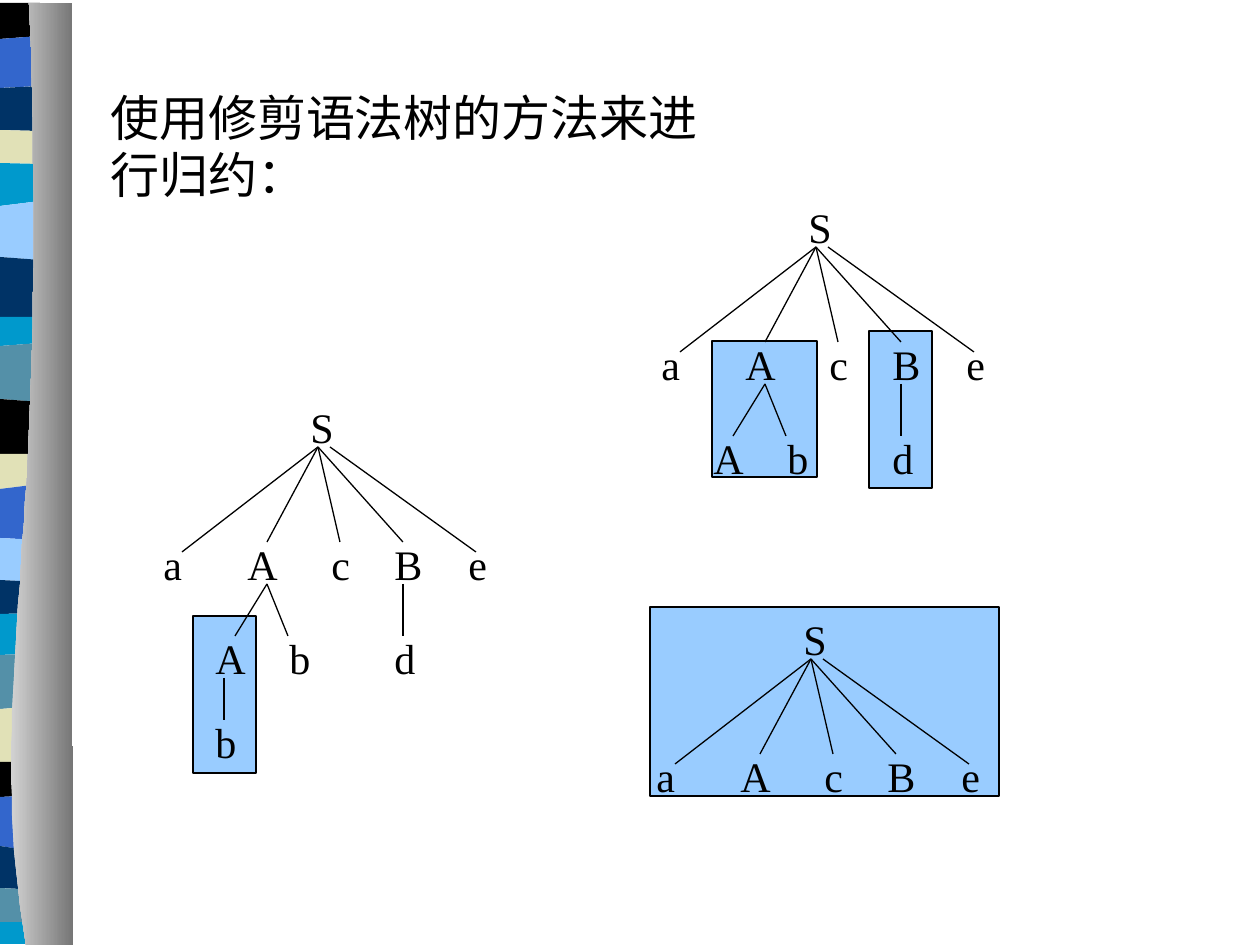
from dataclasses import dataclass

from lxml import etree
from pptx import Presentation, util as u
from pptx.dml.color import RGBColor
from pptx.enum import shapes, text
from pptx.oxml.ns import qn

EMU_PER_PX = 914400 / 126


@dataclass(frozen=True)
class Theme:
    ink: str = "000000"
    highlight: str = "99CCFF"
    black: str = "000000"
    blue: str = "3366CC"
    navy: str = "003366"
    cream: str = "E1E1B7"
    teal: str = "0099CC"
    sky: str = "99CCFF"
    slate: str = "5490A8"
    curl_light: str = "D2D2D2"
    curl_dark: str = "767676"
    title_font: str = "Noto Sans CJK SC"
    node_font: str = "Times New Roman"
    title_pt: int = 28
    title_leading_pt: int = 33
    node_pt: int = 24
    line_pt: float = 0.75


@dataclass(frozen=True)
class Box:
    x: int
    y: int
    w: int
    h: int


@dataclass(frozen=True)
class Band:
    """A ribbon stripe, ending at these heights on its left and right side."""
    color: str
    left: int
    right: int


@dataclass(frozen=True)
class Node:
    label: str
    x: int
    y: int
    w: int = 53


@dataclass(frozen=True)
class Edge:
    x1: int
    y1: int
    x2: int
    y2: int


@dataclass(frozen=True)
class Tree:
    """Nodes and edges are measured from the root label's corner at x, y."""
    x: int
    y: int
    nodes: tuple[Node, ...]
    edges: tuple[Edge, ...]


T = Theme()
NODE_H = 63
RIBBON_TOP, RIBBON_W = 3, 40
BANDS = (
    Band(T.black, 39, 36), Band(T.blue, 88, 86), Band(T.navy, 130, 131),
    Band(T.cream, 163, 164), Band(T.teal, 206, 201), Band(T.sky, 257, 260),
    Band(T.navy, 317, 317), Band(T.teal, 346, 343), Band(T.slate, 399, 402),
    Band(T.black, 454, 454), Band(T.cream, 489, 484), Band(T.blue, 538, 540),
    Band(T.sky, 580, 582), Band(T.navy, 614, 613), Band(T.teal, 655, 653),
    Band(T.slate, 709, 706), Band(T.cream, 762, 762), Band(T.black, 797, 795),
    Band(T.blue, 846, 852), Band(T.navy, 888, 890), Band(T.slate, 922, 922),
    Band(T.teal, 944, 944),
)
CURL = ((26, 945), (-18, 673), (52, 573), (29, 3))
CURL_RIGHT = (72, 73)

TITLE = Box(98, 82, 615, 190)
HIGHLIGHTS = (Box(650, 607, 349, 189), Box(869, 331, 63, 157),
              Box(712, 341, 105, 136), Box(193, 616, 63, 157))

TOP_NODES = (Node("S", 0, 0, 63), Node("a", -147, 137, 42), Node("A", -63, 137),
             Node("c", 21, 137), Node("B", 84, 137), Node("e", 158, 137, 73))
TOP_EDGES = (Edge(20, 52, -116, 157), Edge(20, 52, -31, 147), Edge(20, 52, 42, 147),
             Edge(20, 52, 105, 147), Edge(32, 52, 178, 157))
MID_NODES = TOP_NODES + (Node("A", -95, 231), Node("b", -21, 231), Node("d", 84, 231))
MID_EDGES = TOP_EDGES + (Edge(-31, 189, -63, 241), Edge(-31, 189, -10, 241),
                         Edge(105, 189, 105, 241))
TREES = (
    Tree(796, 195, MID_NODES, MID_EDGES),
    Tree(298, 395, MID_NODES + (Node("b", -95, 315),),
         MID_EDGES + (Edge(-74, 283, -74, 325),)),
    Tree(791, 607, TOP_NODES, TOP_EDGES),
)


def px(n: float) -> int:
    return round(n * EMU_PER_PX)


def rgb(color: str) -> RGBColor:
    return RGBColor.from_string(color)


def add_outline(s, points: list[tuple[int, int]]):
    builder = s.shapes.build_freeform(*points[0], scale=EMU_PER_PX)
    builder.add_line_segments(points[1:], close=True)
    sp = builder.convert_to_shape()
    sp.shadow.inherit = False
    sp.line.fill.background()
    return sp


def add_ribbon(s) -> None:
    left = right = RIBBON_TOP
    for band in BANDS:
        sp = add_outline(s, [(0, left), (RIBBON_W, right),
                             (RIBBON_W, band.right), (0, band.left)])
        sp.fill.solid()
        sp.fill.fore_color.rgb = rgb(band.color)
        left, right = band.left, band.right


def curve_point(t: float) -> tuple[int, int]:
    """Point at t on the cubic curve of the page's left edge."""
    weights = ((1 - t) ** 3, 3 * t * (1 - t) ** 2, 3 * t ** 2 * (1 - t), t ** 3)
    return tuple(round(sum(w * p[axis] for w, p in zip(weights, CURL)), 2)
                 for axis in (0, 1))


def add_page_curl(s, steps: int = 40) -> None:
    top_right, bottom_right = CURL_RIGHT
    points = [curve_point(i / steps) for i in range(steps + 1)]
    sp = add_outline(s, points + [(top_right, CURL[-1][1]), (bottom_right, CURL[0][1])])
    sp.fill.gradient()
    sp.fill.gradient_angle = 0
    for stop, color, position in zip(sp.fill.gradient_stops,
                                     (T.curl_light, T.curl_dark), (0, 1)):
        stop.color.rgb = rgb(color)
        stop.position = position


def add_highlight(s, box: Box) -> None:
    sp = s.shapes.add_shape(shapes.MSO_SHAPE.RECTANGLE,
                            px(box.x), px(box.y), px(box.w), px(box.h))
    sp.shadow.inherit = False
    sp.fill.solid()
    sp.fill.fore_color.rgb = rgb(T.highlight)
    sp.line.color.rgb = rgb(T.ink)
    sp.line.width = u.Pt(T.line_pt)


def add_text(s, box: Box, words: str, font: str, size: int):
    tf = s.shapes.add_textbox(px(box.x), px(box.y), px(box.w), px(box.h)).text_frame
    tf.word_wrap = True
    tf.vertical_anchor = text.MSO_ANCHOR.TOP
    p = tf.paragraphs[0]
    r = p.add_run()
    r.text = words
    for name, value in {"name": font, "size": u.Pt(size)}.items():
        setattr(r.font, name, value)
    r.font.color.rgb = rgb(T.ink)
    etree.SubElement(r.font._element, qn("a:ea"), typeface=font)
    return p


def add_edge(s, tree: Tree, edge: Edge) -> None:
    line = s.shapes.add_connector(
        shapes.MSO_CONNECTOR.STRAIGHT,
        px(tree.x + edge.x1), px(tree.y + edge.y1),
        px(tree.x + edge.x2), px(tree.y + edge.y2))
    line.line.color.rgb = rgb(T.ink)
    line.line.width = u.Pt(T.line_pt)
    etree.SubElement(line._element.spPr, qn("a:effectLst"))


def add_tree(s, tree: Tree) -> None:
    for node in tree.nodes:
        box = Box(tree.x + node.x, tree.y + node.y, node.w, NODE_H)
        add_text(s, box, node.label, T.node_font, T.node_pt)
    for edge in tree.edges:
        add_edge(s, tree, edge)


def main() -> None:
    prs = Presentation()
    prs.slide_width, prs.slide_height = px(1260), px(945)
    s = prs.slides.add_slide(prs.slide_layouts[6])
    add_ribbon(s)
    add_page_curl(s)
    for box in HIGHLIGHTS:
        add_highlight(s, box)
    p = add_text(s, TITLE, "使用修剪语法树的方法来进行归约：", T.title_font, T.title_pt)
    p.line_spacing = u.Pt(T.title_leading_pt)
    for tree in TREES:
        add_tree(s, tree)
    prs.save("out.pptx")


if __name__ == "__main__":
    main()
